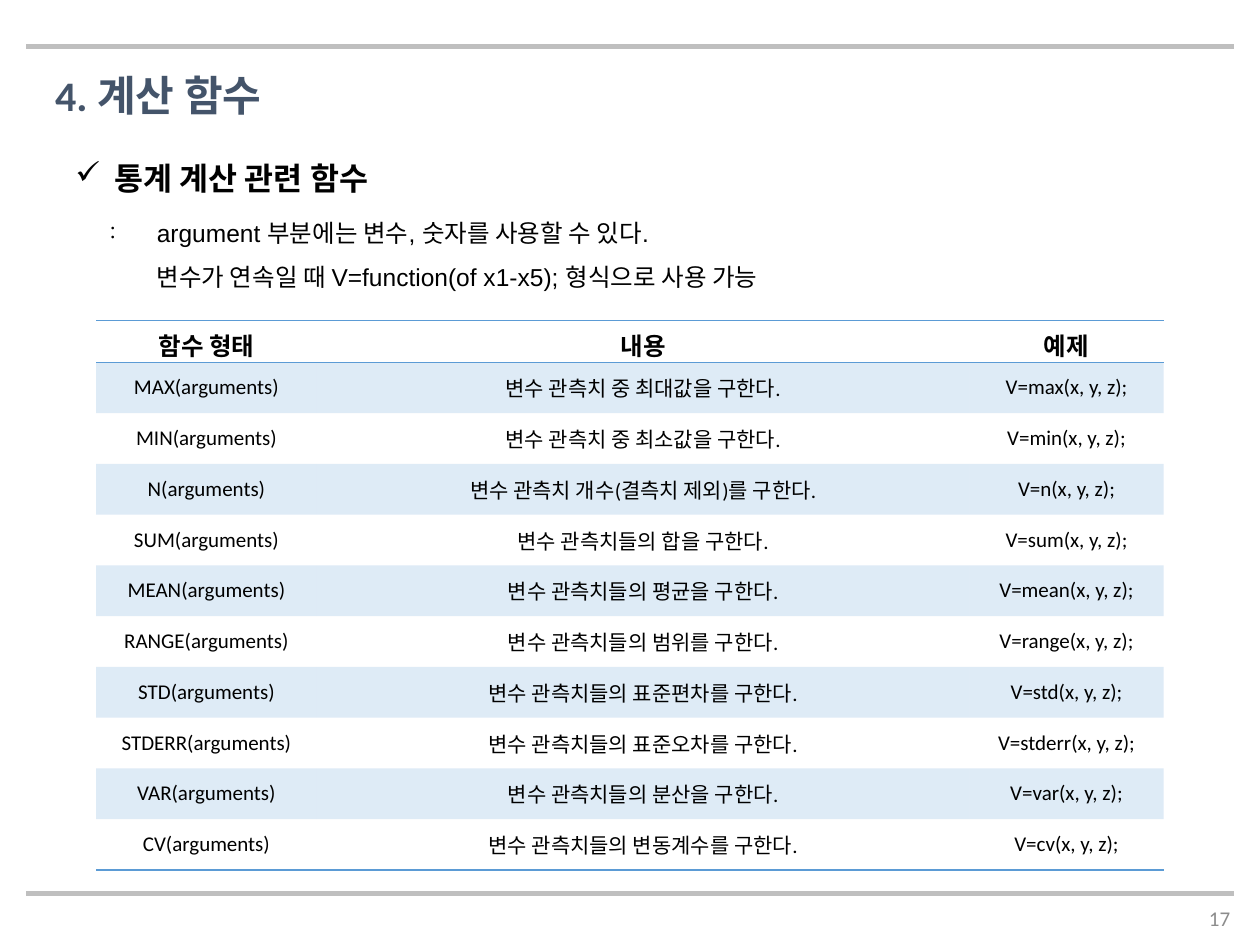
from lxml.etree import SubElement as Sub
from pptx import Presentation
from pptx.dml.color import RGBColor as Rgb
from pptx.enum.shapes import MSO_CONNECTOR as Conn
from pptx.enum.text import MSO_ANCHOR as Anchor, MSO_AUTO_SIZE as Auto, PP_ALIGN as Align
from pptx.oxml.ns import qn
from pptx.util import Pt

BLACK = Rgb(0x00, 0x00, 0x00)
NAVY = Rgb(0x44, 0x54, 0x6A)
BLUE = Rgb(0x5B, 0x9B, 0xD5)
SILVER = Rgb(0xBF, 0xBF, 0xBF)
GRAY = Rgb(0x8C, 0x8C, 0x8C)

HEADS = ("함수 형태", "내용", "예제")
FUNCS = (
    ("MAX", " 중 최대값을"),
    ("MIN", " 중 최소값을"),
    ("N", " 개수(결측치 제외)를"),
    ("SUM", "들의 합을"),
    ("MEAN", "들의 평균을"),
    ("RANGE", "들의 범위를"),
    ("STD", "들의 표준편차를"),
    ("STDERR", "들의 표준오차를"),
    ("VAR", "들의 분산을"),
    ("CV", "들의 변동계수를"),
)
WIDTHS = (126, 373, 111)
HEAD_H, ROW_H = 24, 29


def style(para, size, color, face="Calibri", bold=False):
    for run in para.runs:
        font = run.font
        font.size, font.name, font.bold = Pt(size), face, bold
        font.color.rgb = color


def add_text(slide, box, text, size, color, face="Calibri", bold=False):
    shape = slide.shapes.add_textbox(*map(Pt, box))
    frame = shape.text_frame
    frame.word_wrap = True
    para = frame.paragraphs[0]
    para.text = text
    style(para, size, color, face, bold)
    return frame


def add_item(slide, box, mark, indent, text, size, bold=False):
    frame = add_text(slide, box, text, size, BLACK, "Arial", bold)
    frame.auto_size = Auto.SHAPE_TO_FIT_TEXT
    para = frame.paragraphs[0]
    para.line_spacing = 1.5
    props = para._p.get_or_add_pPr()
    props.set("marL", str(Pt(indent)))
    props.set("indent", str(-Pt(indent)))
    Sub(props, qn("a:buChar"), char=mark)


def add_rule(slide, y):
    line = slide.shapes.add_connector(Conn.STRAIGHT, Pt(15), Pt(y), Pt(705), Pt(y))
    line.line.color.rgb = SILVER
    line.line.width = Pt(3)
    Sub(line._element.spPr, qn("a:effectLst"))


def set_edges(cell, shown):
    props = cell._tc.get_or_add_tcPr()
    for side in "LRTB":
        edge = Sub(props, qn("a:ln" + side), w=str(Pt(1)))
        if side in shown:
            fill = Sub(edge, qn("a:solidFill"))
            Sub(fill, qn("a:srgbClr"), val=str(BLUE))
        else:
            Sub(edge, qn("a:noFill"))


def set_fill(cell, banded):
    if not banded:
        cell.fill.background()
        return
    cell.fill.solid()
    cell.fill.fore_color.rgb = BLUE
    tint = cell._tc.tcPr.find(qn("a:solidFill")).find(qn("a:srgbClr"))
    Sub(tint, qn("a:alpha"), val="20000")


def add_grid(slide):
    rows = [HEADS] + [
        (f"{name}(arguments)", f"변수 관측치{what} 구한다.", f"V={name.lower()}(x, y, z);")
        for name, what in FUNCS
    ]
    high = HEAD_H + ROW_H * len(FUNCS)
    box = map(Pt, (55, 183, sum(WIDTHS), high))
    table = slide.shapes.add_table(len(rows), len(WIDTHS), *box).table
    for col, width in zip(table.columns, WIDTHS):
        col.width = Pt(width)
    for i, row in enumerate(rows):
        head, last = i == 0, i == len(rows) - 1
        table.rows[i].height = Pt(HEAD_H if head else ROW_H)
        edges = "TB" if head else "T" if i == 1 else "B" if last else ""
        for j, text in enumerate(row):
            cell = table.cell(i, j)
            cell.vertical_anchor = Anchor.TOP if head else Anchor.MIDDLE
            para = cell.text_frame.paragraphs[0]
            para.text = text
            para.alignment = Align.CENTER
            style(para, 14 if head else 12, BLACK, bold=head)
            set_edges(cell, edges)
            set_fill(cell, i % 2 == 1)


def main():
    deck = Presentation()
    deck.slide_width, deck.slide_height = Pt(720), Pt(540)
    slide = deck.slides.add_slide(deck.slide_layouts[6])

    page = add_text(slide, (677.5, 510.5, 32.5, 28.5), "17", 12, GRAY)
    page.vertical_anchor = Anchor.MIDDLE
    page.paragraphs[0].alignment = Align.RIGHT
    for y in (510.5, 26.5):
        add_rule(slide, y)

    title = add_text(slide, (24.5, 36, 440, 36), "4. 계산 함수", 24, NAVY, bold=True)
    title.auto_size = Auto.SHAPE_TO_FIT_TEXT
    add_item(slide, (36, 76.5, 222, 40), "✓", 22.5, "통계 계산 관련 함수", 18, True)
    add_grid(slide)
    note = (
        "argument 부분에는 변수, 숫자를 사용할 수 있다.\v"
        "변수가 연속일 때 V=function(of x1-x5); 형식으로 사용 가능"
    )
    add_item(slide, (55.5, 112.5, 584, 55), ":", 27, note, 14)
    deck.save("out.pptx")


if __name__ == "__main__":
    main()
